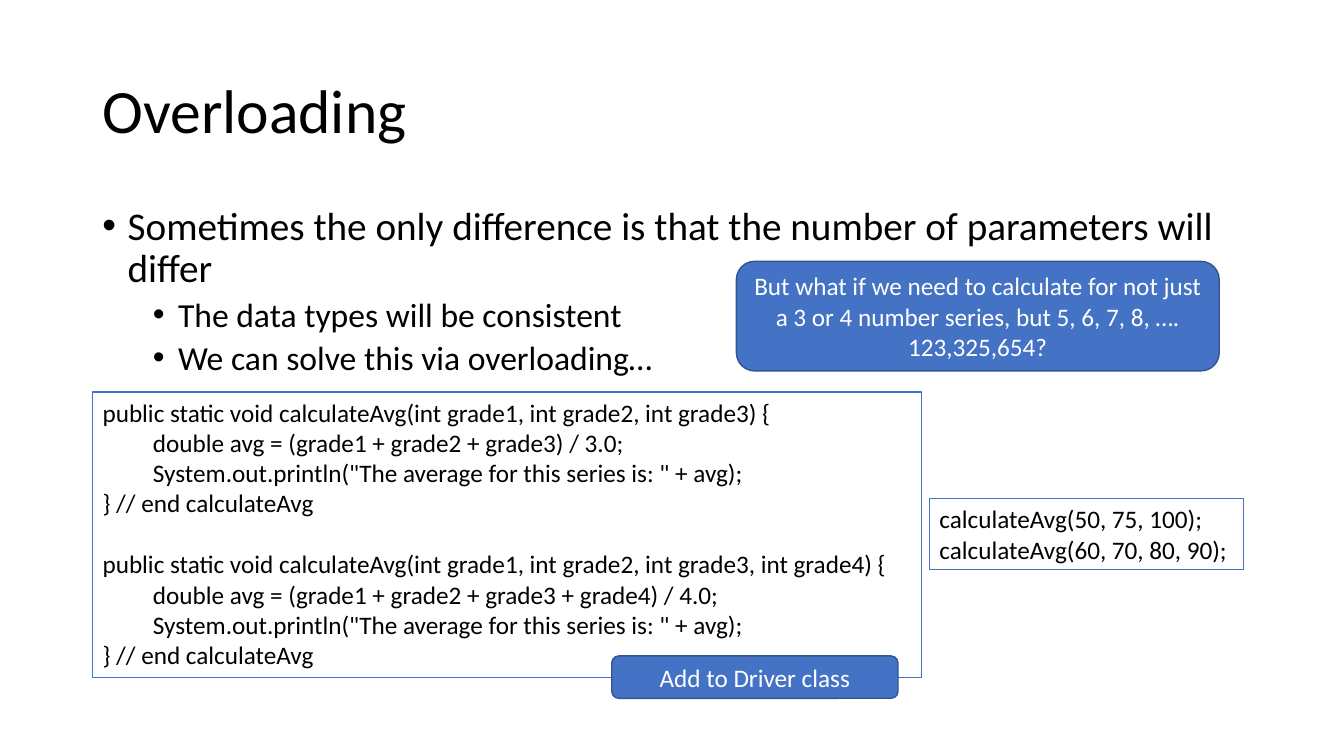
"""Build the Overloading slide with its code samples and callouts."""
import dataclasses
import typing

import lxml.etree
import pptx
import pptx.dml.color
import pptx.enum.shapes
import pptx.enum.text
import pptx.oxml.ns
import pptx.util

Pt = pptx.util.Pt
FONT = "Calibri"
COLORS = {"text": "000000", "accent": "4472C4", "edge": "325491", "light": "FFFFFF"}


@dataclasses.dataclass(frozen=True)
class Box:
    """A rectangle in points."""
    left: float
    top: float
    width: float
    height: float

    def lengths(self) -> tuple:
        """Return the four lengths for python-pptx."""
        return tuple(Pt(side) for side in (self.left, self.top, self.width, self.height))


@dataclasses.dataclass(frozen=True)
class Line:
    """A paragraph with its layout in points."""
    text: str
    size: float = 18
    indent: float = 0
    before: float = 0
    bullet: bool = False
    level: int = 0


@dataclasses.dataclass(frozen=True)
class Callout:
    """A filled rounded box with one centred message."""
    box: Box
    text: str


def rgb(name: str) -> pptx.dml.color.RGBColor:
    """Look up a named colour."""
    return pptx.dml.color.RGBColor.from_string(COLORS[name])


def write(frame: typing.Any, lines: typing.Sequence[Line], color: str = "text",
          spacing: float = 1.0) -> None:
    """Fill a text frame with formatted paragraphs."""
    frame.text = "\n".join(line.text for line in lines)
    for paragraph, line in zip(frame.paragraphs, lines):
        paragraph.level = line.level
        paragraph.line_spacing = spacing
        paragraph.space_before = Pt(line.before)
        for run in paragraph.runs:
            run.font.name, run.font.size = FONT, Pt(line.size)
            run.font.color.rgb = rgb(color)
        properties = paragraph._p.get_or_add_pPr()
        properties.set("marL", str(Pt(line.indent)))
        properties.set("indent", str(Pt(-18 if line.bullet else 0)))
        if line.bullet:
            qn = pptx.oxml.ns.qn
            lxml.etree.SubElement(properties, qn("a:buFont")).set("typeface", "Arial")
            lxml.etree.SubElement(properties, qn("a:buChar")).set("char", "•")


def fill_placeholder(holder: typing.Any, box: Box, lines: typing.Sequence[Line],
                     anchor: typing.Any) -> None:
    """Move a template placeholder and write its text."""
    holder.left, holder.top, holder.width, holder.height = box.lengths()
    frame = holder.text_frame
    frame.auto_size = pptx.enum.text.MSO_AUTO_SIZE.NONE
    frame.vertical_anchor = anchor
    write(frame, lines, spacing=0.9)
    for paragraph in frame.paragraphs:
        paragraph.alignment = pptx.enum.text.PP_ALIGN.LEFT


def add_code(shapes: typing.Any, box: Box, lines: typing.Sequence[Line]) -> None:
    """Draw an outlined box of code."""
    code = shapes.add_textbox(*box.lengths())
    code.line.color.rgb, code.line.width = rgb("accent"), Pt(0.75)
    code.text_frame.word_wrap = False
    code.text_frame.auto_size = pptx.enum.text.MSO_AUTO_SIZE.SHAPE_TO_FIT_TEXT
    write(code.text_frame, lines)


def add_callout(shapes: typing.Any, callout: Callout) -> None:
    """Draw a filled callout."""
    rounded = pptx.enum.shapes.MSO_SHAPE.ROUNDED_RECTANGLE
    bubble = shapes.add_shape(rounded, *callout.box.lengths())
    bubble.shadow.inherit = False
    bubble.fill.solid()
    bubble.fill.fore_color.rgb = rgb("accent")
    bubble.line.color.rgb, bubble.line.width = rgb("edge"), Pt(1)
    frame = bubble.text_frame
    frame.word_wrap = True
    frame.vertical_anchor = pptx.enum.text.MSO_ANCHOR.MIDDLE
    write(frame, [Line(callout.text)], "light")
    frame.paragraphs[0].alignment = pptx.enum.text.PP_ALIGN.CENTER


def average_method(count: int, before: float = 0) -> list[Line]:
    """Return the method that averages the given number of grades."""
    grades = [f"grade{number}" for number in range(1, count + 1)]
    parameters = ", ".join(f"int {grade}" for grade in grades)
    return [
        Line(f"public static void calculateAvg({parameters}) {{", before=before),
        Line(f"double avg = ({' + '.join(grades)}) / {count}.0;", indent=36, level=1),
        Line('System.out.println("The average for this series is: " + avg);',
             indent=36, level=1),
        Line("} // end calculateAvg"),
    ]


POINTS = [
    Line("Sometimes the only difference is that the number of parameters will differ",
         28, 18, 10, True),
    Line("The data types will be consistent", 24, 54, 5, True, 1),
    Line("We can solve this via overloading…", 24, 54, 5, True, 1),
]
CALLS = [Line("calculateAvg(50, 75, 100);"), Line("calculateAvg(60, 70, 80, 90);")]
DRIVER = Callout(Box(437, 468.5, 204.5, 30.3), "Add to Driver class")
QUESTION = Callout(
    Box(526, 186.7, 344.9, 78.3),
    "But what if we need to calculate for not just a 3 or 4 number series, "
    "but 5, 6, 7, 8, …. 123,325,654?")


def main() -> None:
    """Assemble and save the slide."""
    deck = pptx.Presentation()
    deck.slide_width, deck.slide_height = Pt(960), Pt(540)
    slide = deck.slides.add_slide(deck.slide_layouts[1])
    title, body = slide.placeholders
    anchors = pptx.enum.text.MSO_ANCHOR
    fill_placeholder(title, Box(66, 28.8, 828, 104.4), [Line("Overloading", 44)],
                     anchors.MIDDLE)
    fill_placeholder(body, Box(66, 143.8, 828, 136), POINTS, anchors.TOP)
    methods = average_method(3) + average_method(4, before=22)
    add_code(slide.shapes, Box(66.2, 280, 591.8, 203.6), methods)
    add_callout(slide.shapes, DRIVER)
    add_code(slide.shapes, Box(664, 356.2, 224, 50.9), CALLS)
    add_callout(slide.shapes, QUESTION)
    deck.save("out.pptx")


main()
